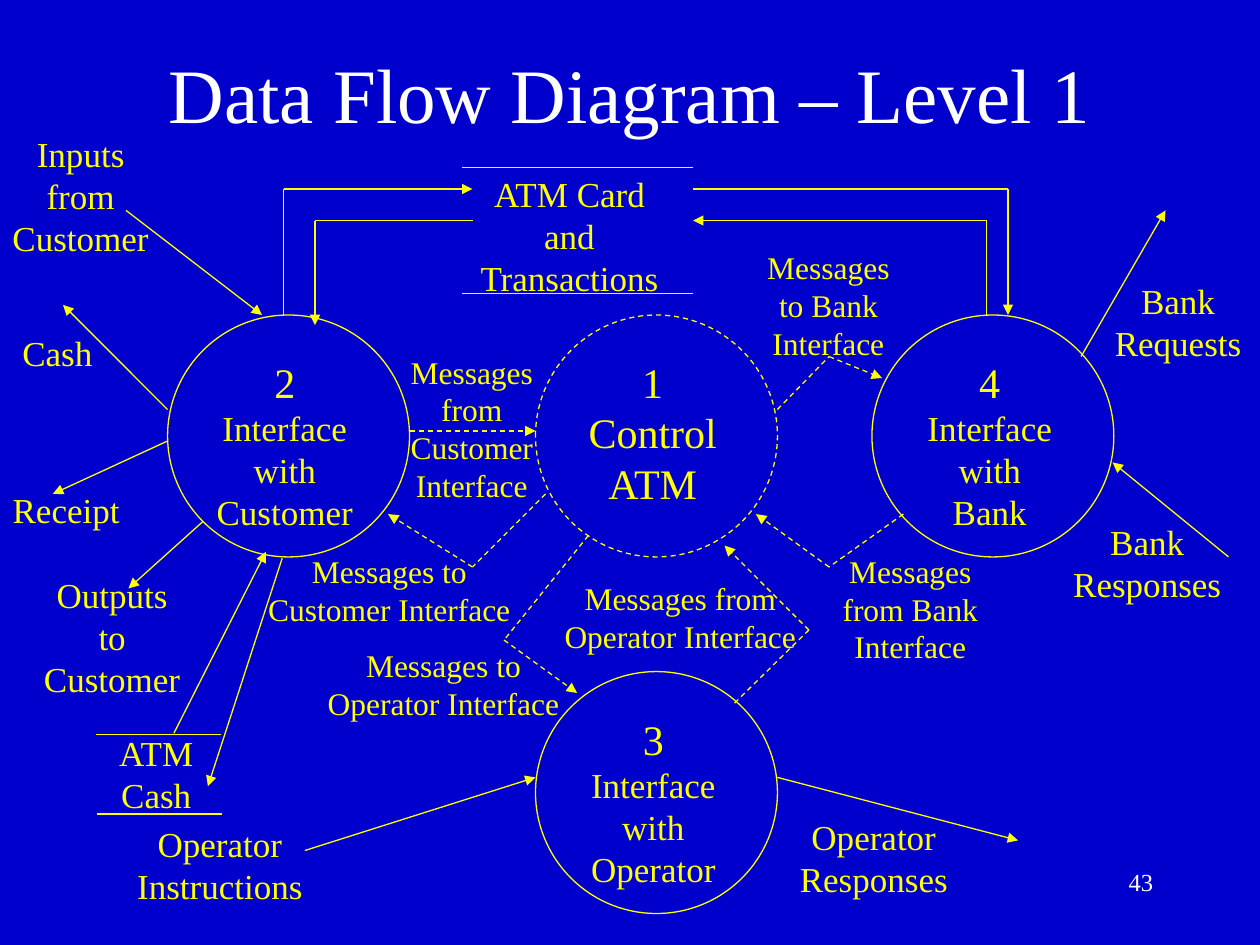
from itertools import pairwise

from lxml.etree import SubElement
from pptx import Presentation
from pptx.dml.color import RGBColor
from pptx.enum.dml import MSO_LINE
from pptx.enum.shapes import MSO_CONNECTOR, MSO_SHAPE
from pptx.enum.text import MSO_ANCHOR, MSO_AUTO_SIZE, PP_ALIGN
from pptx.oxml.ns import qn
from pptx.util import Inches, Pt

BLUE = RGBColor(0x00, 0x00, 0xCC)
YELLOW = RGBColor(0xFF, 0xFF, 0x00)
WHITE = RGBColor(0xFF, 0xFF, 0xFF)
FONT = "Times New Roman"
DIAMETER = 1.92

deck = Presentation()
deck.slide_width, deck.slide_height = Inches(10), Inches(7.5)
page = deck.slides.add_slide(deck.slide_layouts[6])
page.background.fill.solid()
page.background.fill.fore_color.rgb = BLUE


def add_text(text, left, top, width, height, size=20, first_size=None, color=YELLOW,
             align=PP_ALIGN.CENTER, anchor=MSO_ANCHOR.TOP, wrap=False):
    """Add a text box with one paragraph per line; first_size sets the first line apart.

    A box that does not wrap grows with its text and has narrow side margins.
    """
    box = page.shapes.add_textbox(Inches(left), Inches(top), Inches(width), Inches(height))
    frame = box.text_frame
    frame.word_wrap = wrap
    frame.vertical_anchor = anchor
    if not wrap:
        frame.auto_size = MSO_AUTO_SIZE.SHAPE_TO_FIT_TEXT
        frame.margin_left = frame.margin_right = Inches(0.05)
    frame.text = text
    for index, para in enumerate(frame.paragraphs):
        para.alignment = align
        for span in para.runs:
            span.font.name = FONT
            span.font.size = Pt(first_size if first_size and index == 0 else size)
            span.font.color.rgb = color


def add_flow(*points, dashed=False, arrow=True):
    """Join the points with straight connectors, with an arrowhead at the last point."""
    for start, end in pairwise(points):
        line = page.shapes.add_connector(
            MSO_CONNECTOR.STRAIGHT, *(Inches(value) for value in start + end))
        line.line.color.rgb = YELLOW
        line.line.width = Pt(0.75)
        if dashed:
            line.line.dash_style = MSO_LINE.DASH
        if arrow and end == points[-1]:
            SubElement(line.line._get_or_add_ln(), qn("a:tailEnd"), type="triangle")
        SubElement(line._element.spPr, qn("a:effectLst"))


add_text("Data Flow Diagram – Level 1", 0.75, 0.11, 8.5, 1.25, size=44, color=WHITE,
         anchor=MSO_ANCHOR.MIDDLE, wrap=True)

# Processes: circle left and top, then label, its left, width, height and text size
processes = [
    (1.33, 2.5, "2\nInterface\nwith\nCustomer", 1.62, 1.28, 1.5, 20),
    (6.92, 2.5, "4\nInterface\nwith\nBank", 7.26, 1.19, 1.5, 20),
    (4.25, 5.33, "3\nInterface\nwith\nOperator", 4.59, 1.19, 1.5, 20),
    (4.25, 2.5, "1\nControl\nATM", 4.57, 1.22, 1.3, 24),
]
for left, top, label, label_left, label_width, label_height, size in processes:
    circle = page.shapes.add_shape(
        MSO_SHAPE.OVAL, Inches(left), Inches(top), Inches(DIAMETER), Inches(DIAMETER))
    circle.shadow.inherit = False
    circle.fill.background()
    circle.line.color.rgb = YELLOW
    circle.line.width = Pt(0.75)
    if label.startswith("1"):
        circle.line.dash_style = MSO_LINE.DASH
    add_text(label, label_left, top + 0.28, label_width, label_height,
             size=size, first_size=24)

# Data stores: a rule above and below each name
store_rules = [
    ((3.67, 1.33), (5.5, 1.33)),
    ((3.67, 2.33), (5.5, 2.33)),
    ((0.76, 5.83), (1.75, 5.83)),
    ((0.77, 6.46), (1.76, 6.46)),
]
for rule in store_rules:
    add_flow(*rule, arrow=False)

data_flows = [
    # Customer
    ((1, 1.67), (2.08, 2.5)),
    ((1.33, 3.25), (0.5, 2.42)),
    ((1.33, 3.5), (0.42, 3.92)),
    ((1.61, 4.14), (1.02, 4.67)),
    # Operator
    ((2.42, 6.75), (4.25, 6.17)),
    ((6.17, 6.17), (8.08, 6.67)),
    # Bank
    ((9.75, 4.42), (8.83, 3.67)),
    ((8.58, 2.83), (9.25, 1.67)),
    # Card and transaction store
    ((2.25, 2.5), (2.25, 1.5), (3.75, 1.5)),
    ((3.75, 1.75), (2.5, 1.75), (2.5, 2.58)),
    ((5.5, 1.5), (8, 1.5), (8, 2.5)),
    ((7.83, 2.5), (7.83, 1.75), (5.5, 1.75)),
    # Cash store
    ((1.38, 5.82), (2.11, 4.38)),
    ((2.24, 4.43), (1.65, 6.24)),
]
for flow in data_flows:
    add_flow(*flow)

message_flows = [
    ((3.25, 3.42), (4.25, 3.42)),
    ((4.33, 3.92), (3.75, 4.5), (3.08, 4.08)),
    ((4.67, 4.25), (4, 5.08), (4.58, 5.5)),
    ((5.83, 5.58), (6.42, 5), (5.75, 4.33)),
    ((7.17, 4.08), (6.58, 4.5), (6, 4.08)),
    ((6.17, 3.25), (6.58, 2.83), (7, 3)),
]
for flow in message_flows:
    add_flow(*flow, dashed=True)

data_labels = [
    ("Inputs\nfrom\nCustomer", 0, 1, 1.28, 1.1),
    ("Cash", 0.08, 2.58, 0.75, 0.44),
    ("Receipt", 0, 3.83, 1.05, 0.44),
    ("Outputs\nto\nCustomer", 0.25, 4.5, 1.28, 1.1),
    ("ATM\nCash", 0.83, 5.76, 0.82, 0.77),
    ("ATM Card\nand\nTransactions", 3.71, 1.32, 1.62, 1.1),
    ("Operator\nInstructions", 0.99, 6.48, 1.51, 0.77),
    ("Operator\nResponses", 6.25, 6.42, 1.37, 0.77),
    ("Bank\nRequests", 8.75, 2.17, 1.2, 0.77),
    ("Bank\nResponses", 8.42, 4.08, 1.37, 0.77),
]
for label in data_labels:
    add_text(*label)

message_labels = [
    ("Messages\nfrom\nCustomer\nInterface", 3.16, 2.75, 1.17, 1.3),
    ("Messages to\nCustomer Interface", 2.03, 4.33, 2.12, 0.7),
    ("Messages from\nOperator Interface", 4.38, 4.55, 2.04, 0.7),
    ("Messages to\nOperator Interface", 2.5, 5.08, 2.04, 0.7),
    ("Messages\nto Bank\nInterface", 5.99, 1.92, 1.17, 1),
    ("Messages\nfrom Bank\nInterface", 6.59, 4.33, 1.27, 1),
]
for label in message_labels:
    add_text(*label, size=18)

add_text("43", 7.17, 6.83, 2.08, 0.5, size=14, color=WHITE, align=PP_ALIGN.RIGHT, wrap=True)

deck.save("out.pptx")
